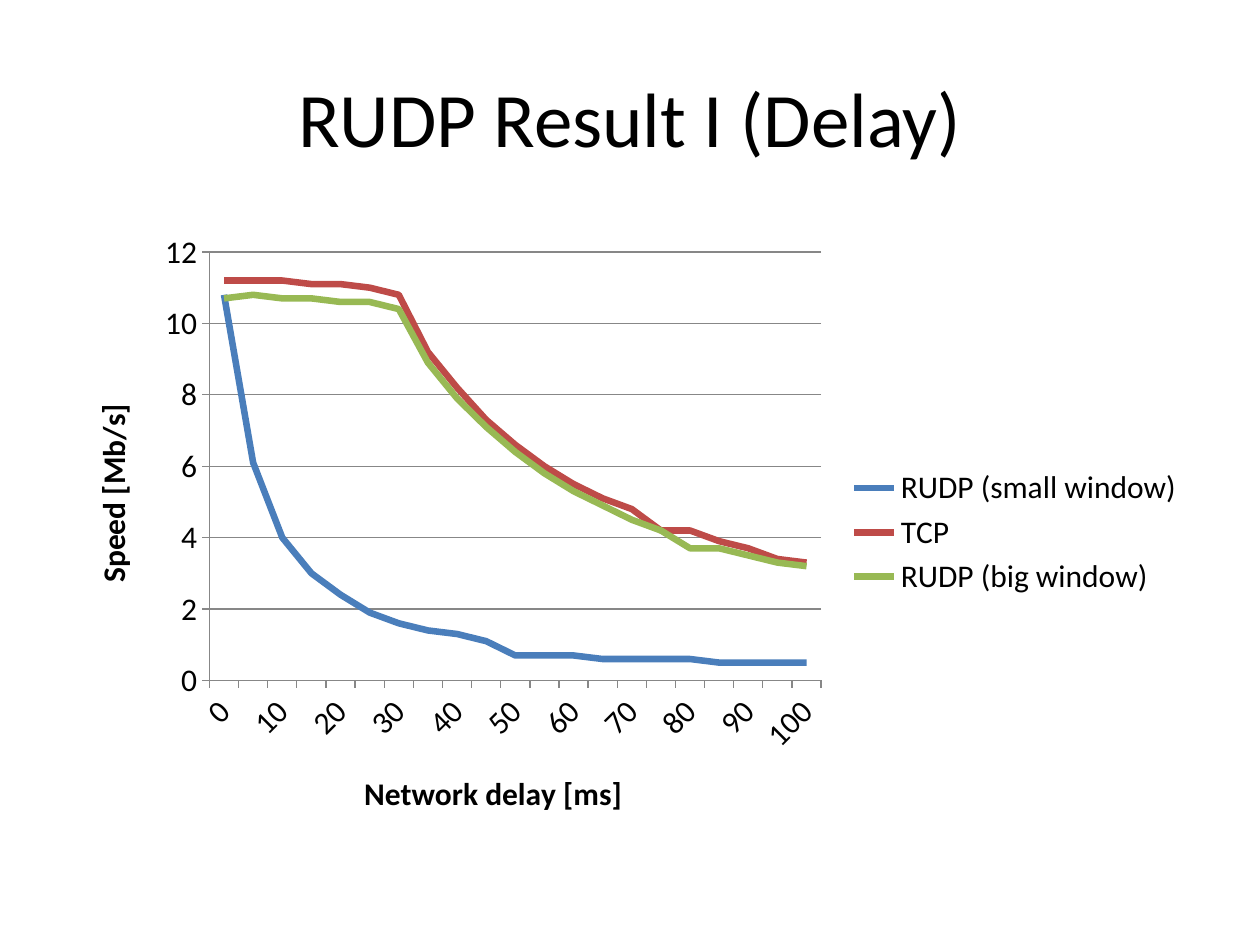
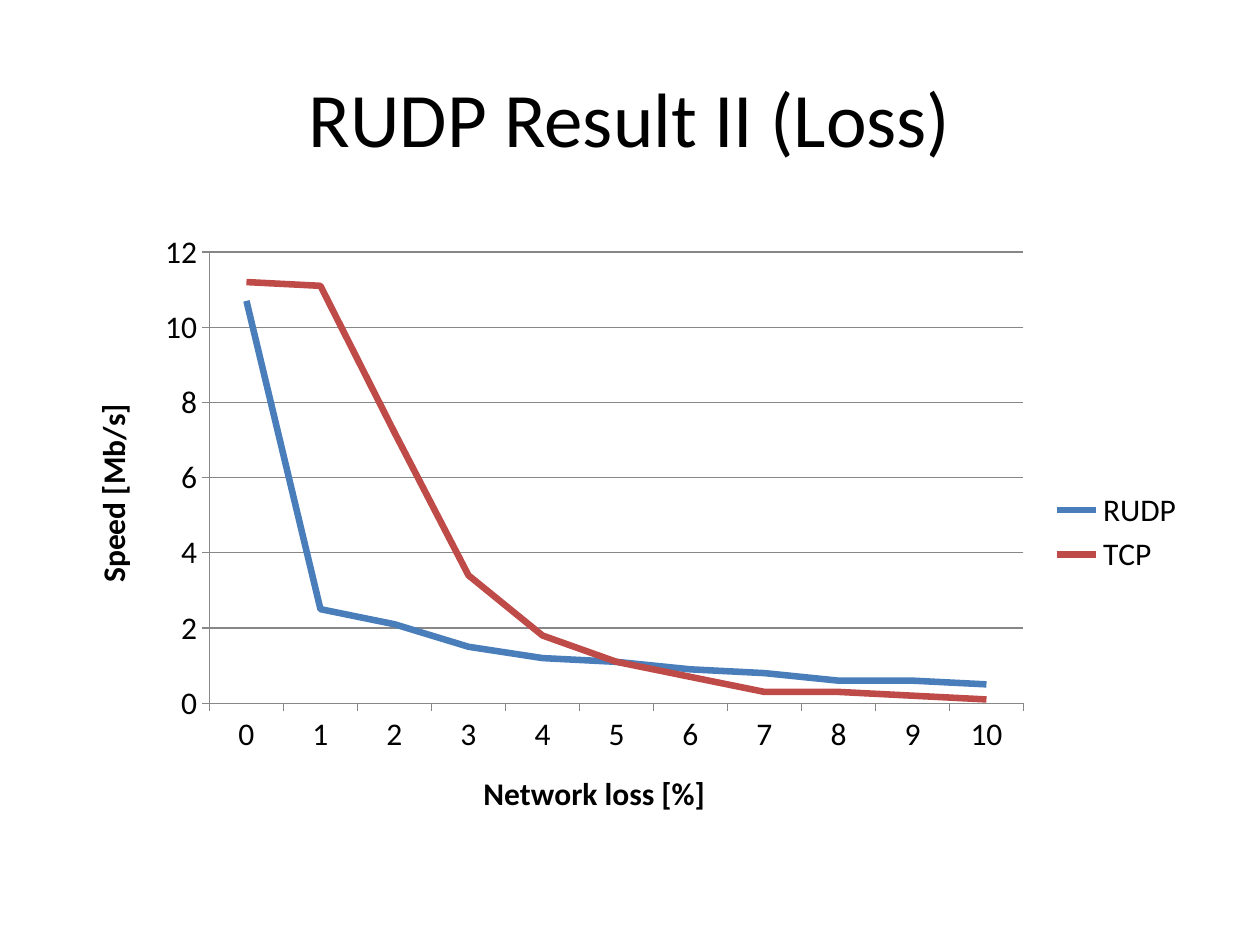
import pptx
import pptx.chart.data
import pptx.dml.color
import pptx.enum.chart
import pptx.enum.text
import pptx.util

Pt = pptx.util.Pt
HUES = {"text": "000000", "grid": "878787", "back": "FFFFFF",
        "blue": "4A7EBB", "red": "BE4B48", "green": "98B954"}
FACE = "Calibri"


def tint(name):
    return pptx.dml.color.RGBColor.from_string(HUES[name])


def style(font, size, bold=False):
    font.name, font.size, font.bold = FACE, Pt(size), bold
    font.color.rgb = tint("text")


def write(frame, text, size=18, bold=False, align=None):
    """Put one formatted paragraph into a text frame."""
    frame.text = text
    para = frame.paragraphs[0]
    para.alignment = align
    style(para.runs[0].font, size, bold)


def turn(part, angle):
    """Rotate the text of a chart part, in degrees."""
    for body in part.xpath(".//a:bodyPr"):
        body.set("rot", str(angle * 60000))
        body.set("vert", "horz")


class Deck:
    def __init__(self):
        self.prs = pptx.Presentation()
        self.prs.slide_width, self.prs.slide_height = Pt(720), Pt(540)
        self.slide = None

    def page(self, title):
        self.slide = self.prs.slides.add_slide(self.prs.slide_layouts[5])
        fill = self.slide.background.fill
        fill.solid()
        fill.fore_color.rgb = tint("back")
        head = self.slide.shapes.title
        head.left, head.top, head.width, head.height = Pt(36), Pt(21.6), Pt(648), Pt(90)
        head.text_frame.vertical_anchor = pptx.enum.text.MSO_ANCHOR.MIDDLE
        write(head.text_frame, title, size=44, align=pptx.enum.text.PP_ALIGN.CENTER)

    def axis(self, axis, title):
        axis.has_title = True
        write(axis.axis_title.text_frame, title, bold=True)
        axis.major_tick_mark = pptx.enum.chart.XL_TICK_MARK.OUTSIDE
        axis.minor_tick_mark = pptx.enum.chart.XL_TICK_MARK.NONE
        style(axis.tick_labels.font, 18)
        self.line(axis.format.line, "grid", 0.75)

    def line(self, line, hue, width):
        line.color.rgb = tint(hue)
        line.width = Pt(width)

    def chart(self, label, step, series, slant=False):
        """Draw a speed chart with categories at every step."""
        data = pptx.chart.data.CategoryChartData()
        count = len(series[0][2])
        data.categories = [str(i * step) for i in range(count)]
        for name, _, vals in series:
            data.add_series(name, vals)
        chart = self.slide.shapes.add_chart(
            pptx.enum.chart.XL_CHART_TYPE.LINE,
            Pt(36), Pt(126), Pt(648), Pt(356.4), data).chart
        chart.has_title = False
        style(chart.font, 18)

        # Legend
        chart.has_legend = True
        chart.legend.position = pptx.enum.chart.XL_LEGEND_POSITION.RIGHT
        chart.legend.include_in_layout = False
        style(chart.legend.font, 18)

        # Axes
        cat, val = chart.category_axis, chart.value_axis
        self.axis(cat, label)
        self.axis(val, "Speed [Mb/s]")
        turn(val.axis_title._element, -90)
        if slant:
            for body in cat._element.xpath("./c:txPr"):
                turn(body, -45)
        val.minimum_scale, val.maximum_scale, val.major_unit = 0, 12, 2
        val.has_major_gridlines = True
        self.line(val.major_gridlines.format.line, "grid", 0.75)

        # Lines
        chart.plots[0].vary_by_categories = False
        for item, (_, hue, _) in zip(chart.plots[0].series, series):
            item.smooth = False
            self.line(item.format.line, hue, 3.75)


def main():
    deck = Deck()

    # Delay
    deck.page("RUDP Result I (Delay)")
    deck.chart("Network delay [ms]", 5, [
        ("RUDP (small window)", "blue",
         [10.8, 6.1, 4, 3, 2.4, 1.9, 1.6, 1.4, 1.3, 1.1, 0.7,
          0.7, 0.7, 0.6, 0.6, 0.6, 0.6, 0.5, 0.5, 0.5, 0.5]),
        ("TCP", "red",
         [11.2, 11.2, 11.2, 11.1, 11.1, 11, 10.8, 9.2, 8.2, 7.3, 6.6,
          6, 5.5, 5.1, 4.8, 4.2, 4.2, 3.9, 3.7, 3.4, 3.3]),
        ("RUDP (big window)", "green",
         [10.7, 10.8, 10.7, 10.7, 10.6, 10.6, 10.4, 8.9, 7.9, 7.1, 6.4,
          5.8, 5.3, 4.9, 4.5, 4.2, 3.7, 3.7, 3.5, 3.3, 3.2]),
    ], slant=True)

    # Loss
    deck.page("RUDP Result II (Loss)")
    deck.chart("Network loss [%]", 1, [
        ("RUDP", "blue", [10.7, 2.5, 2.1, 1.5, 1.2, 1.1, 0.9, 0.8, 0.6, 0.6, 0.5]),
        ("TCP", "red", [11.2, 11.1, 7.2, 3.4, 1.8, 1.1, 0.7, 0.3, 0.3, 0.2, 0.1]),
    ])

    deck.prs.save("out.pptx")


if __name__ == "__main__":
    main()
